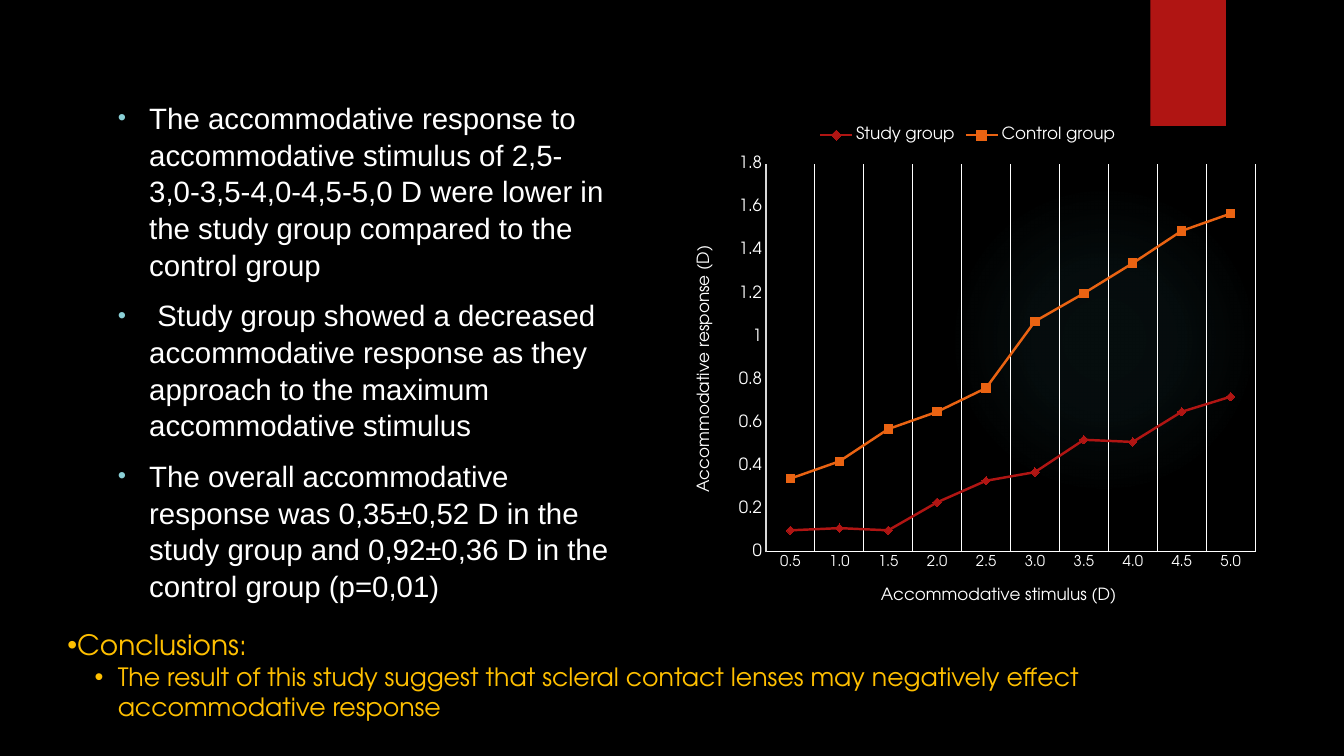
from dataclasses import dataclass

from lxml import etree
from pptx import Presentation
from pptx.chart.data import CategoryChartData
from pptx.dml.color import RGBColor
from pptx.enum.chart import (XL_CHART_TYPE, XL_LEGEND_POSITION,
                             XL_MARKER_STYLE, XL_TICK_MARK)
from pptx.enum.shapes import MSO_SHAPE
from pptx.enum.text import MSO_ANCHOR, MSO_AUTO_SIZE
from pptx.oxml import parse_xml
from pptx.oxml.ns import nsdecls, qn
from pptx.util import Inches, Pt

LINE = XL_CHART_TYPE.LINE_MARKERS
TOP = XL_LEGEND_POSITION.TOP
DIAMOND, SQUARE = XL_MARKER_STYLE.DIAMOND, XL_MARKER_STYLE.SQUARE
NO_TICK = XL_TICK_MARK.NONE


@dataclass(frozen=True)
class Theme:
    back: str = "000000"
    text: str = "FFFFFF"
    axis: str = "D9D9D9"
    red: str = "B01513"
    orange: str = "EA6312"
    gold: str = "FFC000"
    aqua: str = "8AD0D6"
    glow: str = "50B9C1"
    sans: str = "Arial"
    geo: str = "TeX Gyre Adventor"
    body: float = 21
    head: float = 20
    note: float = 18
    label: float = 12
    tick: float = 10.6


T = Theme()

# Content
FINDINGS = [
    "The accommodative response to accommodative stimulus of "
    "2,5-3,0-3,5-4,0-4,5-5,0 D were lower in the study group compared "
    "to the control group",
    " Study group showed a decreased accommodative response as they "
    "approach to the maximum accommodative stimulus",
    "The overall accommodative response was 0,35±0,52 D in the study "
    "group and 0,92±0,36 D in the control group (p=0,01)",
]
# text, level, size, left margin, indent
CLOSING = [
    ("Conclusions: ", 0, T.head, 0, 0),
    ("The result of this study suggest that scleral contact lenses may "
     "negatively effect accommodative response", 1, T.note, 0.5, -0.23),
]
STIMULI = [f"{n / 2:.1f}" for n in range(1, 11)]
GROUPS = [
    ("Study group", T.red, DIAMOND,
     [0.1, 0.11, 0.1, 0.23, 0.33, 0.37, 0.52, 0.51, 0.65, 0.72]),
    ("Control group", T.orange, SQUARE,
     [0.34, 0.42, 0.57, 0.65, 0.76, 1.07, 1.2, 1.34, 1.49, 1.57]),
]


def rgb(code):
    return RGBColor.from_string(code)


def box(left, top, width, height):
    return [Inches(v) for v in (left, top, width, height)]


def style(font, face, size, color):
    font.name, font.size = face, Pt(size)
    font.bold = False
    font.color.rgb = rgb(color)


def stroke(line, color, width):
    line.color.rgb = rgb(color)
    line.width = Pt(width)


def bullet(para, left, indent, color=None, size=100):
    props = para._p.get_or_add_pPr()
    props.set("marL", str(Inches(left)))
    props.set("indent", str(Inches(indent)))
    if color:
        tint = etree.SubElement(props, qn("a:buClr"))
        etree.SubElement(tint, qn("a:srgbClr"), val=color)
    etree.SubElement(props, qn("a:buSzPct"), val=str(size * 1000))
    etree.SubElement(props, qn("a:buFont"), typeface="Arial")
    etree.SubElement(props, qn("a:buChar"), char="•")


def place(node, slot, inner=False, **spots):
    """Set a manual chart layout, in fractions of the chart."""
    old = node.find(qn("c:layout"))
    if old is not None:
        node.remove(old)
    layout = parse_xml(f'<c:layout {nsdecls("c")}><c:manualLayout/></c:layout>')
    node.insert(slot, layout)
    if inner:
        etree.SubElement(layout[0], qn("c:layoutTarget"), val="inner")
    for key in ("x", "y"):
        etree.SubElement(layout[0], qn(f"c:{key}Mode"), val="edge")
    for key, val in spots.items():
        etree.SubElement(layout[0], qn(f"c:{key}"), val=str(val))


# Slide
deck = Presentation()
deck.slide_width, deck.slide_height = Inches(13.33), Inches(7.5)
slide = deck.slides.add_slide(deck.slide_layouts[1])
slide.background.fill.solid()
slide.background.fill.fore_color.rgb = rgb(T.back)
title = slide.shapes.title._element
title.getparent().remove(title)

# Soft glow and red tab
glow = slide.shapes.add_shape(MSO_SHAPE.OVAL, *box(9.41, 1.83, 3.08, 3.08))
glow.shadow.inherit = False
glow.line.fill.background()
stops = "".join(
    f'<a:gs pos="{pos * 1000}"><a:srgbClr val="{T.glow}">'
    f'<a:alpha val="{alpha * 1000}"/></a:srgbClr></a:gs>'
    for pos, alpha in [(0, 7), (36, 6), (69, 0), (100, 0)])
glow._element.spPr.find(qn("a:prstGeom")).addnext(parse_xml(
    f'<a:gradFill {nsdecls("a")}><a:gsLst>{stops}</a:gsLst>'
    '<a:path path="circle"><a:fillToRect l="50000" t="50000" r="50000" '
    'b="50000"/></a:path></a:gradFill>'))

tab = slide.shapes.add_shape(MSO_SHAPE.RECTANGLE, *box(11.41, 0, 0.75, 1.25))
tab.shadow.inherit = False
tab.line.fill.background()
tab.fill.solid()
tab.fill.fore_color.rgb = rgb(T.red)

# Chart
data = CategoryChartData()
data.categories = STIMULI
for name, _, _, vals in GROUPS:
    data.add_series(name, vals)
chart = slide.shapes.add_chart(LINE, *box(6.62, 1.15, 5.96, 5.03), data).chart
style(chart.font, T.geo, T.label, T.text)
chart.has_title = False
chart.has_legend = True
chart.legend.position = TOP
chart.legend.include_in_layout = False
style(chart.legend.font, T.geo, T.label, T.text)
for line, (_, color, mark, _) in zip(chart.plots[0].series, GROUPS):
    line.smooth = False
    stroke(line.format.line, color, 1.75)
    line.marker.style, line.marker.size = mark, 6
    line.marker.format.fill.solid()
    line.marker.format.fill.fore_color.rgb = rgb(color)
    stroke(line.marker.format.line, color, 0.75)

cat, val = chart.category_axis, chart.value_axis
AXES = [(cat, "Accommodative stimulus (D)", T.tick, T.text, 0.35, 0.92),
        (val, "Accommodative response (D)", T.label, T.axis, 0.04, 0.25)]
for axis, label, size, color, x, y in AXES:
    axis.major_tick_mark = axis.minor_tick_mark = NO_TICK
    style(axis.tick_labels.font, T.geo, size, T.text)
    stroke(axis.format.line, color, 0.75)
    frame = axis.axis_title.text_frame
    frame.text = label
    style(frame.paragraphs[0].font, T.geo, T.label, T.text)
    place(axis.axis_title._element, 1, x=x, y=y)
cat.has_major_gridlines = True
stroke(cat.major_gridlines.format.line, T.text, 0.75)
val.has_major_gridlines = False
val.minimum_scale, val.maximum_scale, val.major_unit = 0, 1.8, 0.2
place(chart._chartSpace.chart.plotArea, 0, True,
      x=0.164, y=0.095, w=0.814, h=0.765)

# Findings
body = slide.placeholders[1]
body.left, body.top, body.width, body.height = box(0.57, 0.93, 5.57, 5.47)
frame = body.text_frame
frame.auto_size = MSO_AUTO_SIZE.NONE
frame.vertical_anchor = MSO_ANCHOR.TOP
frame.text = "\n".join(FINDINGS)
for para in frame.paragraphs:
    para.level = 1
    para.line_spacing, para.space_before = 1.04, Pt(10)
    style(para.font, T.sans, T.body, T.text)
    bullet(para, 0.81, -0.31, T.aqua, 80)

# Conclusions
frame = slide.shapes.add_textbox(*box(0.57, 6.18, 12, 1.35)).text_frame
frame.word_wrap = True
frame.text = "\n".join(item[0] for item in CLOSING)
for para, (_, level, size, left, indent) in zip(frame.paragraphs, CLOSING):
    para.level = level
    style(para.font, T.geo, size, T.gold)
    bullet(para, left, indent)

deck.save("out.pptx")
